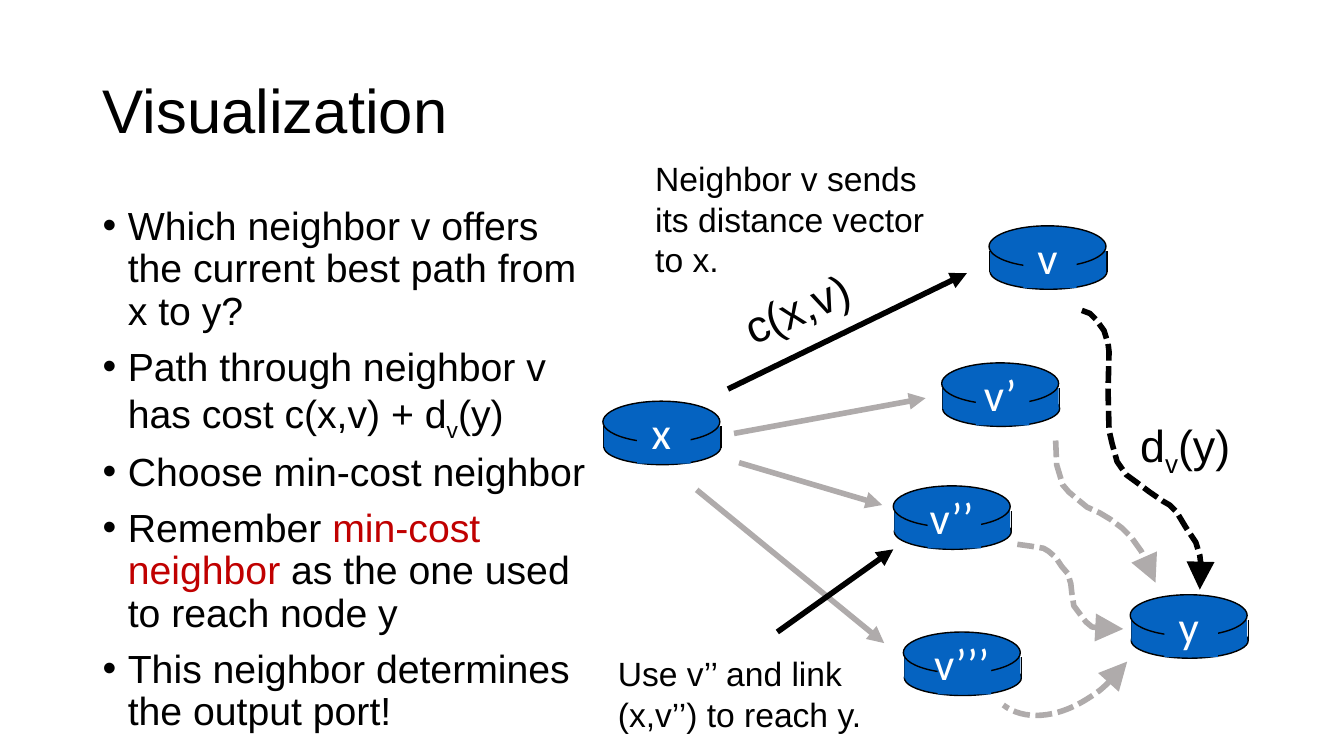
from lxml import etree
from pptx import Presentation
from pptx.dml.color import RGBColor
from pptx.enum.dml import MSO_LINE
from pptx.enum.shapes import MSO_CONNECTOR, MSO_SHAPE
from pptx.enum.text import MSO_ANCHOR, PP_ALIGN
from pptx.oxml.ns import qn
from pptx.util import Pt

ELLIPSE, RECTANGLE, ARC = MSO_SHAPE.OVAL, MSO_SHAPE.RECTANGLE, MSO_SHAPE.ARC
STRAIGHT, SHORT_DASH = MSO_CONNECTOR.STRAIGHT, MSO_LINE.SQUARE_DOT
LEFT, CENTER = PP_ALIGN.LEFT, PP_ALIGN.CENTER
TOP, MIDDLE = MSO_ANCHOR.TOP, MSO_ANCHOR.MIDDLE

PX = 9144  # 100 px to the inch
COLORS = {"black": "000000", "white": "FFFFFF", "red": "C00000",
          "blue": "0563C1", "gray": "AFABAB"}

# Content: a run is (text, color, style)
TITLE = [[("Visualization", "black", "")]]
BULLETS = [
    [("Which neighbor v offers the current best path from x to y?", "black", "")],
    [("Path through neighbor v has cost c(x,v) + d", "black", ""),
     ("v", "black", "sub"), ("(y)", "black", "")],
    [("Choose min-cost neighbor", "black", "")],
    [("Remember ", "black", ""), ("min-cost neighbor ", "red", ""),
     ("as the one used to reach node y", "black", "")],
    [("This neighbor determines the output port!", "black", "")],
]
# Diagram labels: box, size, rotation, runs
LABELS = [
    ((724, 264, 178, 64), 32, 336.9, [("c(x,v)", "black", "")]),
    ((640, 152, 319, 131), 24, 0,
     [("Neighbor v sends its distance vector to x.", "black", "")]),
    ((1121, 409, 178, 64), 32, 0,
     [("d", "black", ""), ("v", "black", "sub"), ("(y)", "black", "")]),
    ((603, 643, 266, 91), 24, 0,
     [("Use v’’ and link (x,v’’) to reach y.", "black", "")]),
]
# Routers: name, left, top
ROUTERS = [("x", 598, 398), ("v", 981, 224), ("y", 1121, 590),
           ("v’", 934, 360), ("v’’", 886, 482), ("v’’’", 896, 627)]
# Links: from, to, color
LINKS = [((722, 386), (959, 271), "black"), ((728, 430), (918, 395), "gray"),
         ((733, 459), (875, 501), "gray"), ((691, 486), (877, 638), "gray"),
         ((771, 627), (886, 545), "black")]
# Dashed paths to y: color, points
PATHS = [
    ("black", [(1073, 308), (1081, 311), (1087, 317), (1095, 328), (1099, 341),
               (1100, 349), (1099, 388), (1100, 427), (1103, 440), (1108, 458),
               (1117, 471), (1128, 479), (1140, 488), (1153, 497), (1160, 501),
               (1167, 508), (1176, 523), (1182, 532), (1186, 538), (1190, 551),
               (1191, 560), (1190, 585)]),
    ("gray", [(1047, 437), (1048, 461), (1054, 481), (1060, 488), (1067, 494),
              (1078, 503), (1091, 509), (1101, 515), (1113, 524), (1122, 533),
              (1132, 547), (1138, 559), (1144, 571), (1146, 578)]),
    ("gray", [(1009, 540), (1023, 542), (1035, 544), (1040, 547), (1047, 553),
              (1053, 562), (1059, 569), (1062, 579), (1063, 588), (1065, 601),
              (1071, 609), (1077, 617), (1083, 622), (1096, 624), (1100, 626),
              (1114, 624)]),
]
ARC_BOX, ARC_ROTATION = (952, 541, 217, 144), 127.1


def emu(*lengths):
    return [length * PX for length in lengths]


def rgb(name):
    return RGBColor.from_string(COLORS[name])


def set_line(shape, color, width, dash=None, arrow=None, arrow_size="med"):
    line = shape.line
    line.color.rgb = rgb(color)
    line.width = Pt(width)
    if dash:
        line.dash_style = dash
    if arrow:
        etree.SubElement(line._get_or_add_ln(), qn("a:" + arrow),
                         type="triangle", w=arrow_size, len=arrow_size)


def add_text(parent, box, paragraphs, size, font="Arial", bullets=False,
             wrap=True, anchor=TOP, align=LEFT, **spacing):
    shape = parent.shapes.add_textbox(*emu(*box))
    frame = shape.text_frame
    frame.word_wrap, frame.vertical_anchor = wrap, anchor
    for index, runs in enumerate(paragraphs):
        paragraph = frame.paragraphs[0] if index == 0 else frame.add_paragraph()
        paragraph.alignment = align
        for name, value in spacing.items():
            if index or name != "space_before":
                setattr(paragraph, name, value)
        if bullets:
            properties = paragraph._p.get_or_add_pPr()
            properties.set("marL", str(25 * PX))
            properties.set("indent", str(-25 * PX))
            etree.SubElement(properties, qn("a:buFont"), typeface="Arial")
            etree.SubElement(properties, qn("a:buChar"), char="•")
        for text, color, style in runs:
            run = paragraph.add_run()
            run.text = text
            for name, value in {"size": Pt(size), "name": font}.items():
                setattr(run.font, name, value)
            run.font.color.rgb = rgb(color)
            if style == "sub":
                run._r.get_or_add_rPr().set("baseline", "-25000")
    return shape


def add_line(parent, start, end, color, width, **ends):
    connector = parent.shapes.add_connector(STRAIGHT, *emu(*start, *end))
    set_line(connector, color, width, **ends)
    etree.SubElement(connector._element.spPr, qn("a:effectLst"))


def add_body_part(group, kind, box, outlined):
    shape = group.shapes.add_shape(kind, *emu(*box))
    shape.shadow.inherit = False
    shape.fill.solid()
    shape.fill.fore_color.rgb = rgb("blue")
    if outlined:
        set_line(shape, "black", 1)
    else:
        shape.line.fill.background()


def add_router(slide, name, left, top):
    group = slide.shapes.add_group_shape()
    add_body_part(group, ELLIPSE, (left + 1, top + 28, 116, 35), True)
    for side in (left + 1, left + 117):
        add_line(group, (side, top + 25), (side, top + 46), "black", 1)
    add_body_part(group, RECTANGLE, (left + 1, top + 25, 115, 21), False)
    add_body_part(group, ELLIPSE, (left, top, 116, 41), True)
    add_body_part(group, RECTANGLE, (left + 34, top + 5, 53, 57), False)
    add_text(group, (left + 20, top - 1, 76, 64), [[(name, "white", "")]], 32,
             font="Calibri", wrap=False, align=CENTER)


def add_dashed(shape, color, arrow):
    shape.shadow.inherit = False
    shape.fill.background()
    set_line(shape, color, 4, SHORT_DASH, arrow, "lg")


def main():
    presentation = Presentation()
    presentation.slide_width, presentation.slide_height = emu(1333, 750)
    slide = presentation.slides.add_slide(presentation.slide_layouts[6])

    # Title and bullets
    add_text(slide, (92, 40, 1150, 145), TITLE, 44, anchor=MIDDLE, line_spacing=0.9)
    add_text(slide, (92, 200, 504, 535), BULLETS, 28, bullets=True,
             line_spacing=0.9, space_before=Pt(10))

    # Routers
    for router in ROUTERS:
        add_router(slide, *router)

    # Dashed paths
    for color, points in PATHS:
        builder = slide.shapes.build_freeform(*points[0], scale=PX)
        builder.add_line_segments(points[1:], close=False)
        add_dashed(builder.convert_to_shape(), color, "tailEnd")
    arc = slide.shapes.add_shape(ARC, *emu(*ARC_BOX))
    arc.rotation = ARC_ROTATION
    add_dashed(arc, "gray", "headEnd")

    # Links and labels
    for start, end, color in LINKS:
        add_line(slide, start, end, color, 4, arrow="tailEnd")
    for box, size, rotation, runs in LABELS:
        add_text(slide, box, [runs], size).rotation = rotation

    presentation.save("out.pptx")


if __name__ == "__main__":
    main()
